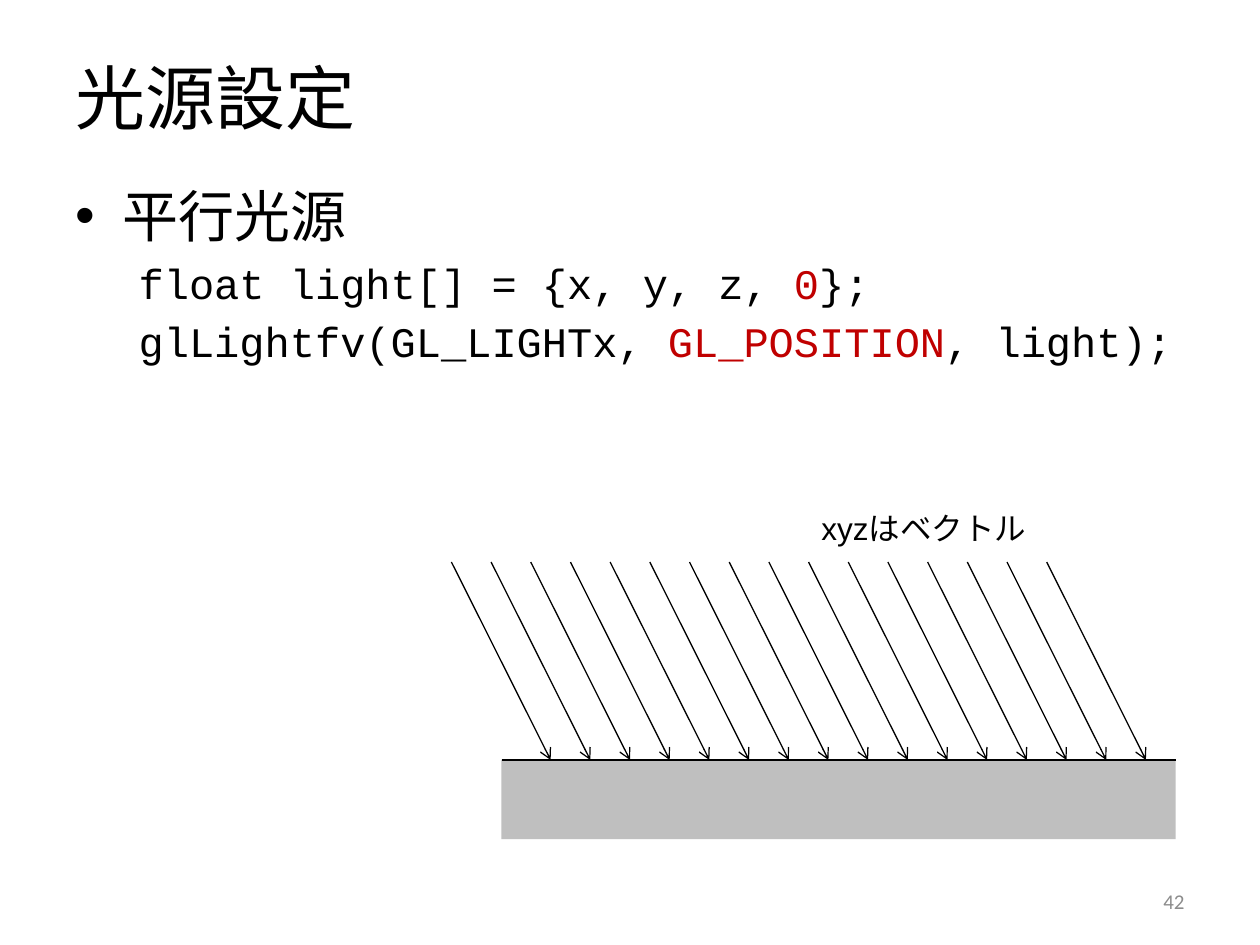
from dataclasses import dataclass

from pptx import Presentation
from pptx.dml.color import RGBColor
from pptx.enum.shapes import MSO_CONNECTOR, MSO_SHAPE
from pptx.enum.text import MSO_ANCHOR, MSO_AUTO_SIZE, PP_ALIGN
from pptx.oxml.ns import qn
from pptx.util import Cm, Pt
from lxml.etree import SubElement


@dataclass(frozen=True)
class Theme:
    black: str = "000000"
    accent: str = "C00000"
    ground: str = "BFBFBF"
    white: str = "FFFFFF"
    muted: str = "8C8C8C"
    text_font: str = "Calibri"
    code_font: str = "Courier New"
    label_font: str = "Arial"
    title_size: int = 40
    heading_size: int = 32
    code_size: int = 24
    label_size: int = 18
    number_size: int = 12
    line_width: float = 0.75


@dataclass(frozen=True)
class Box:
    left: float
    top: float
    width: float
    height: float

    def lengths(self) -> tuple:
        return Cm(self.left), Cm(self.top), Cm(self.width), Cm(self.height)


@dataclass(frozen=True)
class Rays:
    """Parallel light rays falling on the ground, in centimetres."""
    count: int = 16
    left: float = 9.1
    top: float = 11.33
    pitch: float = 0.8
    shift: float = 2.0


THEME = Theme()
RAYS = Rays()
TITLE = Box(1.27, 0.76, 22.86, 2.36)
BODY = Box(1.27, 3.53, 22.86, 14)
NUMBER = Box(18.21, 17.65, 5.92, 1.02)
GROUND = Box(10.11, 15.32, 13.59, 1.6)
LABEL = Box(16.31, 10.13, 8.58, 2.06)

CODE_LINES = [
    [("float light[] = {x, y, z, ", THEME.black), ("0", THEME.accent), ("};", THEME.black)],
    [("glLightfv(GL_LIGHTx, ", THEME.black), ("GL_POSITION", THEME.accent),
     (", light);", THEME.black)],
]


def place(shape, box: Box) -> None:
    for name, length in zip(("left", "top", "width", "height"), box.lengths()):
        setattr(shape, name, length)


def format_frame(frame, **values) -> None:
    settings = {"word_wrap": True, "auto_size": MSO_AUTO_SIZE.NONE, **values}
    for name, value in settings.items():
        setattr(frame, name, value)


def add_run(paragraph, text: str, font: str, size: int, color: str) -> None:
    run = paragraph.add_run()
    run.text = text
    for name, value in {"name": font, "size": Pt(size)}.items():
        setattr(run.font, name, value)
    run.font.color.rgb = RGBColor.from_string(color)


def add_rectangle(slide, box: Box, color: str):
    shape = slide.shapes.add_shape(MSO_SHAPE.RECTANGLE, *box.lengths())
    shape.shadow.inherit = False
    shape.fill.solid()
    shape.fill.fore_color.rgb = RGBColor.from_string(color)
    shape.line.fill.background()
    return shape


def add_line(slide, start: tuple[float, float], end: tuple[float, float],
             arrow: bool = False) -> None:
    points = [Cm(value) for value in (*start, *end)]
    connector = slide.shapes.add_connector(MSO_CONNECTOR.STRAIGHT, *points)
    connector.line.color.rgb = RGBColor.from_string(THEME.black)
    connector.line.width = Pt(THEME.line_width)
    properties = connector.element.spPr
    if arrow:
        SubElement(properties.find(qn("a:ln")), qn("a:tailEnd"), type="arrow")
    SubElement(properties, qn("a:effectLst"))


def fill_title(slide) -> None:
    title = slide.shapes.title
    place(title, TITLE)
    format_frame(title.text_frame, vertical_anchor=MSO_ANCHOR.MIDDLE)
    paragraph = title.text_frame.paragraphs[0]
    paragraph.alignment = PP_ALIGN.LEFT
    add_run(paragraph, "光源設定", THEME.text_font, THEME.title_size, THEME.black)


def fill_body(slide) -> None:
    body = slide.placeholders[1]
    place(body, BODY)
    frame = body.text_frame
    format_frame(frame)
    add_run(frame.paragraphs[0], "平行光源", THEME.text_font, THEME.heading_size, THEME.black)
    for parts in CODE_LINES:
        paragraph = frame.add_paragraph()
        paragraph.level = 1
        SubElement(paragraph._p.get_or_add_pPr(), qn("a:buNone"))
        for text, color in parts:
            add_run(paragraph, text, THEME.code_font, THEME.code_size, color)


def add_light_diagram(slide) -> None:
    add_rectangle(slide, GROUND, THEME.ground)
    add_line(slide, (GROUND.left, GROUND.top), (GROUND.left + GROUND.width, GROUND.top))
    label = add_rectangle(slide, LABEL, THEME.white)
    format_frame(label.text_frame, vertical_anchor=MSO_ANCHOR.TOP)
    paragraph = label.text_frame.paragraphs[0]
    paragraph.alignment = PP_ALIGN.LEFT
    add_run(paragraph, "xyzはベクトル", THEME.label_font, THEME.label_size, THEME.black)
    for index in range(RAYS.count):
        x = RAYS.left + index * RAYS.pitch
        add_line(slide, (x, RAYS.top), (x + RAYS.shift, GROUND.top), arrow=True)


def add_slide_number(slide) -> None:
    frame = slide.shapes.add_textbox(*NUMBER.lengths()).text_frame
    format_frame(frame, vertical_anchor=MSO_ANCHOR.MIDDLE)
    paragraph = frame.paragraphs[0]
    paragraph.alignment = PP_ALIGN.RIGHT
    add_run(paragraph, "42", THEME.text_font, THEME.number_size, THEME.muted)


def main() -> None:
    presentation = Presentation()
    presentation.slide_width, presentation.slide_height = Cm(25.4), Cm(19.05)
    slide = presentation.slides.add_slide(presentation.slide_layouts[1])
    fill_title(slide)
    fill_body(slide)
    add_slide_number(slide)
    add_light_diagram(slide)
    presentation.save("out.pptx")


if __name__ == "__main__":
    main()
